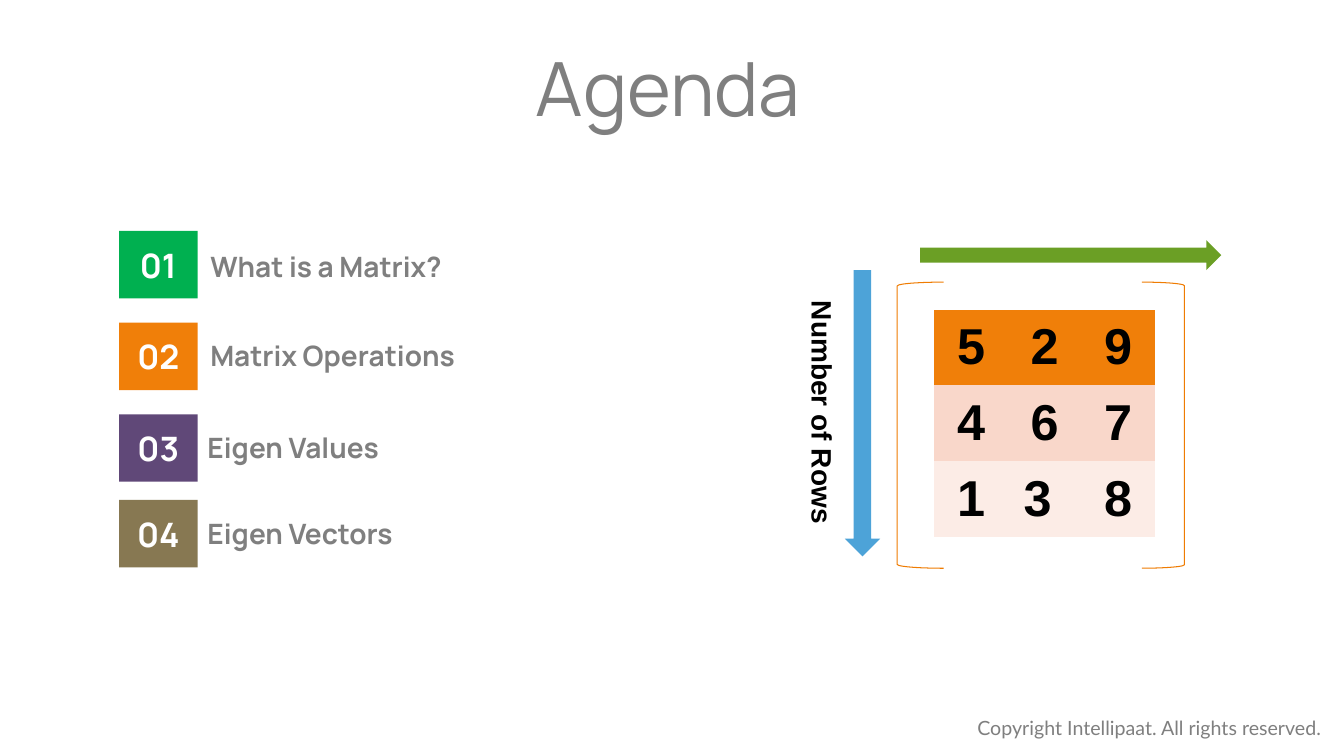
from pptx import Presentation, util as u
from pptx.dml.color import RGBColor
from pptx.enum import shapes, text

WHITE = RGBColor(0xFF, 0xFF, 0xFF)
BLACK = RGBColor(0x00, 0x00, 0x00)
GRAY = RGBColor(0x7F, 0x7F, 0x7F)
GREEN = RGBColor(0x00, 0xB0, 0x50)
ORANGE = RGBColor(0xF0, 0x7F, 0x09)
PURPLE = RGBColor(0x60, 0x48, 0x78)
OLIVE = RGBColor(0x87, 0x78, 0x52)
BRACKET_ORANGE = RGBColor(0xEF, 0x7C, 0x02)
LEAF = RGBColor(0x6B, 0x9F, 0x25)
BLUE = RGBColor(0x4D, 0xA3, 0xD8)
PEACH = RGBColor(0xF9, 0xD7, 0xCA)
CREAM = RGBColor(0xFC, 0xEC, 0xE6)

PLAIN_TABLE_STYLE = "{2D5ABB26-0587-4C30-8999-92F81FD0307C}"
LEFT = text.PP_ALIGN.LEFT
CENTER = text.PP_ALIGN.CENTER
PRESET = shapes.MSO_SHAPE

AGENDA = [
    ("01", "What is a Matrix?", GREEN, 5.82, 5.05, 6.17),
    ("02", "Matrix Operations", ORANGE, 8.13, 5.05, 8.41),
    ("03", "Eigen Values", PURPLE, 10.44, 4.98, 10.72),
    ("04", "Eigen Vectors", OLIVE, 12.6, 4.98, 12.88),
]
MATRIX = [
    (ORANGE, ["5", "2", "9"]),
    (PEACH, ["4", "6", "7"]),
    (CREAM, ["1", "3 ", "8"]),
]


def lengths(*values):
    return [u.Cm(value) for value in values]


def write(frame, words, size=20, font="Manrope", color=GRAY, bold=True, align=LEFT, spacing=None):
    para = frame.paragraphs[0]
    para.alignment = align
    para.line_spacing = spacing
    span = para.add_run()
    span.text = words
    span.font.size = u.Pt(size)
    span.font.name = font
    span.font.bold = bold
    span.font.color.rgb = color


def add_label(page, words, place, turn=0, inset=0.25, **style):
    box = page.shapes.add_textbox(*lengths(*place))
    box.rotation = turn
    box.text_frame.word_wrap = True
    box.text_frame.margin_left = u.Cm(inset)
    write(box.text_frame, words, **style)


def add_block(page, preset, place, color):
    block = page.shapes.add_shape(preset, *lengths(*place))
    block.shadow.inherit = False
    block.fill.solid()
    block.fill.fore_color.rgb = color
    block.line.fill.background()
    return block


def add_bracket(page, preset, place):
    bracket = page.shapes.add_shape(preset, *lengths(*place))
    bracket.shadow.inherit = False
    bracket.fill.background()
    bracket.line.color.rgb = BRACKET_ORANGE
    bracket.line.width = u.Pt(0.75)


def add_agenda_item(page, number, topic, color, badge_top, label_left, label_top):
    badge = add_block(page, PRESET.RECTANGLE, (3, badge_top, 1.98, 1.7), color)
    badge.text_frame.vertical_anchor = text.MSO_ANCHOR.MIDDLE
    write(badge.text_frame, number, size=24, color=WHITE, align=CENTER)
    add_label(page, topic, (label_left, label_top, 9, 1.12))


def add_matrix(page):
    frame = page.shapes.add_table(3, 3, *lengths(23.55, 7.8, 5.55, 5.73))
    table = frame.table
    table._tbl.tblPr.find("{*}tableStyleId").text = PLAIN_TABLE_STYLE
    table.first_row = False
    table.horz_banding = False
    for row, (color, numbers) in enumerate(MATRIX):
        for column, number in enumerate(numbers):
            cell = table.cell(row, column)
            cell.fill.solid()
            cell.fill.fore_color.rgb = color
            cell.vertical_anchor = text.MSO_ANCHOR.MIDDLE
            write(cell.text_frame, number, size=36, font="Arial", color=BLACK, align=CENTER)


def main():
    deck = Presentation()
    deck.slide_width, deck.slide_height = lengths(33.87, 19.05)
    page = deck.slides.add_slide(deck.slide_layouts[6])
    add_label(page, "Copyright Intellipaat. All rights reserved.", (24.38, 17.91, 9.42, 0.86),
              size=14, font="Lato", bold=False)
    add_label(page, "Agenda", (9.25, 1.19, 15.42, 2.13), inset=0,
              size=53.4, bold=False, align=CENTER, spacing=0.9)
    for item in AGENDA:
        add_agenda_item(page, *item)
    add_bracket(page, PRESET.LEFT_BRACKET, (22.61, 7.11, 1.17, 7.21))
    add_bracket(page, PRESET.RIGHT_BRACKET, (28.78, 7.11, 1.07, 7.21))
    add_matrix(page)
    add_block(page, PRESET.RIGHT_ARROW, (23.19, 6.05, 7.59, 0.76), LEAF)
    add_block(page, PRESET.DOWN_ARROW, (21.29, 6.81, 0.89, 7.21), BLUE)
    add_label(page, "Number of Rows", (16.99, 9.83, 7.47, 1.12), turn=90,
              font="Arial", color=BLACK, align=CENTER)
    deck.save("out.pptx")


if __name__ == "__main__":
    main()
